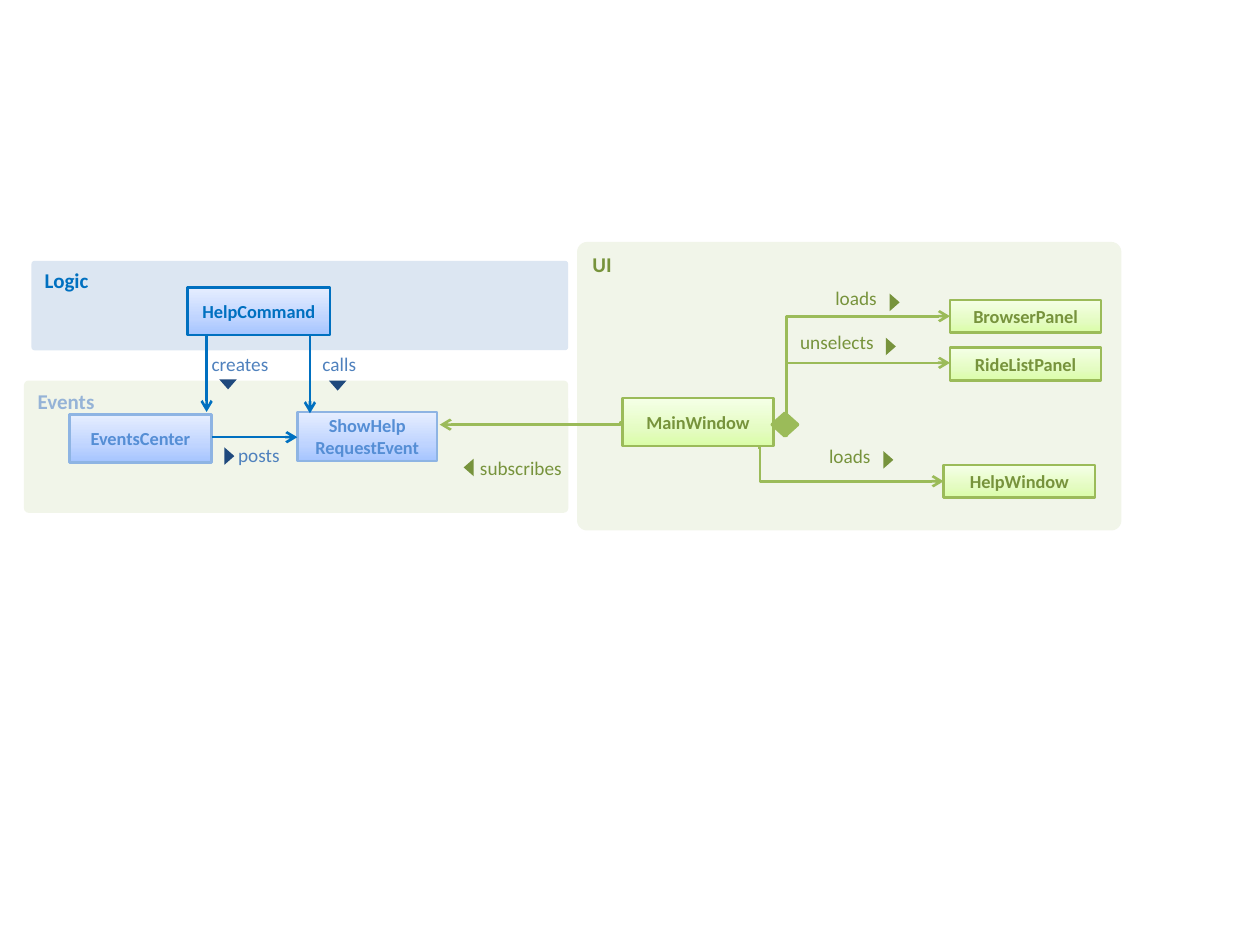
from copy import deepcopy
from lxml import etree
from pptx import Presentation
from pptx.dml.color import RGBColor
from pptx.enum import shapes, text
from pptx.oxml import ns
from pptx.util import Inches, Pt

COLORS = {
    "logic": "0070C0", "logic_panel": "DCE6F2", "events": "95B3D7",
    "event_line": "8EB4E3", "event_text": "558ED5", "blue_label": "4F81BD",
    "navy": "1F497D", "green_panel": "F1F5E9", "green_line": "9BBB59",
    "green_text": "77933C",
}
GRADIENTS = {
    "blue": [(0, "A4C4FF"), (0.35, "BFD4FF"), (1, "E6EEFF")],
    "green": [(0, "DAFDA7"), (0.35, "E4FCC2"), (1, "F5FFE7")],
}
POINTING = {"right": 90, "down": 180, "left": 270}
BOX_STYLES = {  # gradient, line, text
    "logic": ("blue", "logic", "logic"),
    "event": ("blue", "event_line", "event_text"),
    "ui": ("green", "green_line", "green_text"),
}

# Content: title, bounds, fill, text colour
PANELS = [
    ("Logic", (0.25, 2.07, 4.26, 0.71), "logic_panel", "logic"),
    ("UI", (4.58, 1.92, 4.32, 2.29), "green_panel", "green_text"),
    ("Events", (0.19, 3.02, 4.32, 1.05), "green_panel", "events"),
]
# Class name lines, bounds, style
BOXES = [
    (["MainWindow"], (4.94, 3.16, 1.2, 0.38), "ui"),
    (["BrowserPanel"], (7.54, 2.38, 1.2, 0.26), "ui"),
    (["RideListPanel"], (7.54, 2.76, 1.2, 0.26), "ui"),
    (["HelpWindow"], (7.49, 3.69, 1.2, 0.26), "ui"),
    (["HelpCommand"], (1.49, 2.28, 1.13, 0.38), "logic"),
    (["EventsCenter"], (0.55, 3.29, 1.13, 0.38), "event"),
    (["ShowHelp", "RequestEvent"], (2.36, 3.27, 1.11, 0.39), "event"),
]
# Start, end, colour, whether the line bends
ARROWS = [
    ((6.23, 3.46), (7.54, 2.51), "green_line", True),
    ((6.23, 3.46), (7.54, 2.88), "green_line", True),
    ((6.02, 3.55), (7.49, 3.82), "green_line", True),
    ((4.94, 3.35), (3.49, 3.37), "green_line", True),
    ((2.46, 2.66), (2.46, 3.28), "logic", False),
    ((1.64, 2.65), (1.64, 3.27), "logic", False),
    ((1.68, 3.47), (2.36, 3.47), "logic", False),
]
# Label, bounds, text colour, marker corner, marker colour, direction
LABELS = [
    ("loads", (6.63, 2.27, 0.53, 0.26), "green_text", (7.03, 2.36), "green_text", "right"),
    ("unselects", (6.35, 2.62, 0.77, 0.22), "green_text", (7, 2.71), "green_text", "right"),
    ("loads", (6.58, 3.53, 0.53, 0.26), "green_text", (6.98, 3.61), "green_text", "right"),
    ("calls", (2.56, 2.8, 0.53, 0.26), "blue_label", (2.61, 3.02), "navy", "down"),
    ("creates", (1.68, 2.8, 0.53, 0.26), "blue_label", (1.74, 3.01), "navy", "down"),
    ("posts", (1.89, 3.52, 0.53, 0.21), "blue_label", (1.75, 3.58), "navy", "right"),
    ("subscribes", (3.81, 3.62, 0.7, 0.26), "green_text", (3.65, 3.67), "green_text", "left"),
]

presentation = Presentation()
presentation.slide_width, presentation.slide_height = Inches(10), Inches(7.5)
slide = presentation.slides.add_slide(presentation.slide_layouts[6])


def rgb(name):
    return RGBColor.from_string(COLORS[name])


def add_shape(kind, bounds, fill=None, line=None, width=1.5):
    shape = slide.shapes.add_shape(kind, *map(Inches, bounds))
    shape.shadow.inherit = False
    if fill:
        shape.fill.solid()
        shape.fill.fore_color.rgb = rgb(fill)
    if line:
        shape.line.color.rgb = rgb(line)
        shape.line.width = Pt(width)
    else:
        shape.line.fill.background()
    return shape


def write(shape, lines, color, size, bold, align, anchor):
    frame = shape.text_frame
    frame.word_wrap = True
    frame.vertical_anchor = anchor
    frame.text = "\n".join(lines)
    font_format = {"name": "Calibri", "size": Pt(size), "bold": bold}
    for paragraph in frame.paragraphs:
        paragraph.alignment = align
        font = paragraph.runs[0].font
        for attribute, value in font_format.items():
            setattr(font, attribute, value)
        font.color.rgb = rgb(color)


def fill_gradient(shape, stops):
    shape.fill.gradient()
    shape.fill.gradient_angle = 90
    stop_list = shape._element.spPr.find(ns.qn("a:gradFill")).find(ns.qn("a:gsLst"))
    stop_list.append(deepcopy(stop_list[-1]))
    for stop, (position, color) in zip(shape.fill.gradient_stops, stops):
        stop.position = position
        stop.color.rgb = RGBColor.from_string(color)


def add_arrow(start, end, color, bent):
    kind = shapes.MSO_CONNECTOR.ELBOW if bent else shapes.MSO_CONNECTOR.STRAIGHT
    connector = slide.shapes.add_connector(kind, *map(Inches, start + end))
    connector.line.color.rgb = rgb(color)
    connector.line.width = Pt(1.5)
    properties = connector._element.spPr
    etree.SubElement(connector.line._get_or_add_ln(), ns.qn("a:tailEnd"), type="arrow")
    etree.SubElement(properties, ns.qn("a:effectLst"))
    if bent:  # turn right next to the start
        geometry = properties.find(ns.qn("a:prstGeom"))
        adjustments = geometry.find(ns.qn("a:avLst"))
        etree.SubElement(adjustments, ns.qn("a:gd"), name="adj1", fmla="val 900")


LEFT, CENTER = text.PP_ALIGN.LEFT, text.PP_ALIGN.CENTER
TOP, MIDDLE = text.MSO_ANCHOR.TOP, text.MSO_ANCHOR.MIDDLE
SHAPE = shapes.MSO_SHAPE

# Component panels
for title, bounds, fill, color in PANELS:
    panel = add_shape(SHAPE.ROUNDED_RECTANGLE, bounds, fill)
    panel.adjustments[0] = 0.035
    write(panel, [title], color, 12, True, LEFT, TOP)

# Class boxes
for lines, bounds, style in BOXES:
    gradient, line, color = BOX_STYLES[style]
    box = add_shape(SHAPE.RECTANGLE, bounds, line=line)
    fill_gradient(box, GRADIENTS[gradient])
    write(box, lines, color, 10.5, True, CENTER, MIDDLE)

# Composition diamond and arrows
add_shape(SHAPE.FLOWCHART_DECISION, (6.13, 3.28, 0.2, 0.18), "green_line", "green_line", 2)
for arrow in ARROWS:
    add_arrow(*arrow)

# Relation labels with direction markers
for label, bounds, color, corner, marker_color, direction in LABELS:
    box = slide.shapes.add_textbox(*map(Inches, bounds))
    for side in ("left", "top", "right", "bottom"):
        setattr(box.text_frame, f"margin_{side}", 0)
    write(box, [label], color, 11, False, LEFT, TOP)
    marker = add_shape(SHAPE.ISOSCELES_TRIANGLE, corner + (0.14, 0.08), marker_color)
    marker.rotation = POINTING[direction]

presentation.save("out.pptx")
